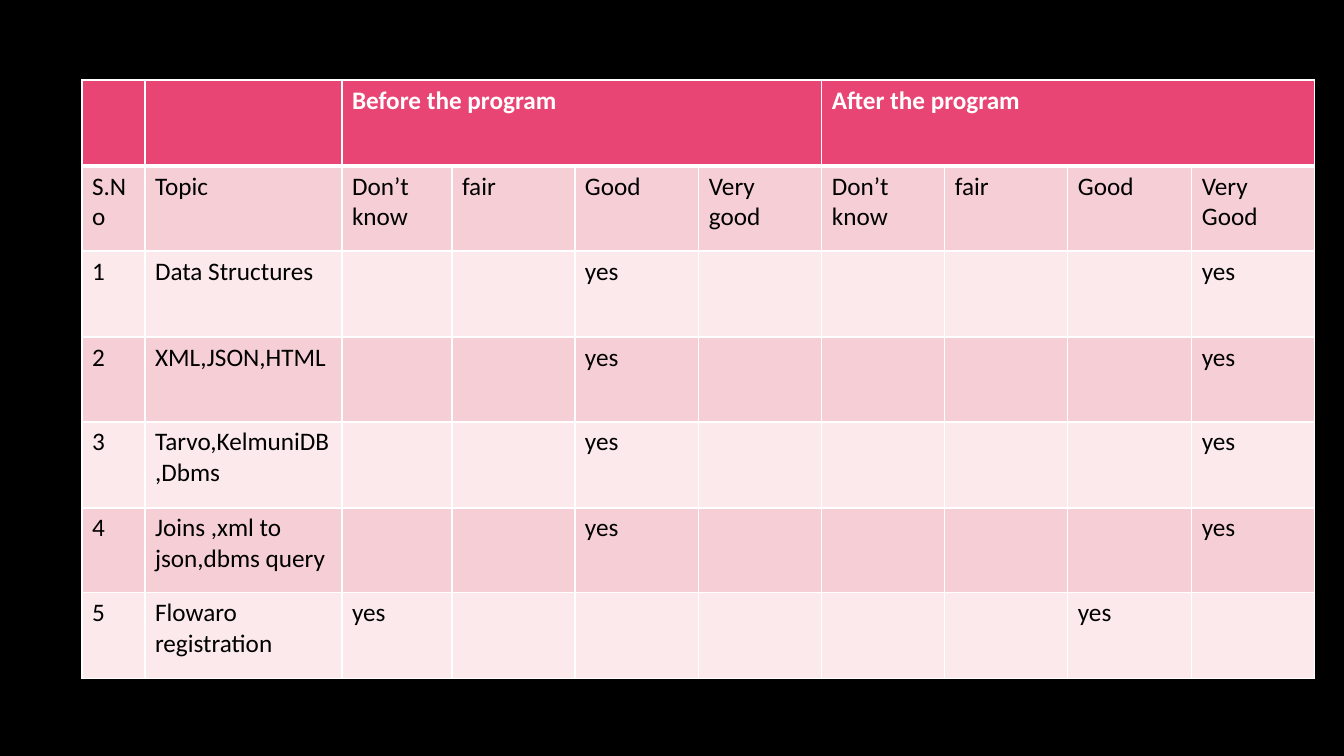
import lxml.etree
import pptx
import pptx.dml.color
import pptx.oxml.ns
import pptx.util

PX = 914400 / 100.8
THEME = {
    "background": "000000", "header": "E84574", "bands": ("FBE9EB", "F6CFD6"),
    "border": "FFFFFF", "header_text": "FFFFFF", "body_text": "000000",
    "font": "Calibri", "size": 18, "thin": 1, "thick": 3,
}
LEFT, TOP = 82, 80
TABLE_W, TABLE_H = 1233, 599
LEAD_COLS = [63, 197, 110]

HEADER = ["", "", "Before the program", "", "", "", "After the program", "", "", ""]
LEVELS = ["S.No", "Topic", "Don’t know", "fair", "Good", "Very good",
          "Don’t know", "fair", "Good", "Very Good"]
# Topic, column rated before, column rated after
TOPICS = [
    ("Data Structures", 4, 9),
    ("XML,JSON,HTML", 4, 9),
    ("Tarvo,KelmuniDB,Dbms", 4, 9),
    ("Joins ,xml to json,dbms query", 4, 9),
    ("Flowaro registration", 2, 8),
]


def px(n):
    return pptx.util.Emu(round(n * PX))


def split(total, n):
    edges = [round(total * i / n) for i in range(n + 1)]
    return [b - a for a, b in zip(edges, edges[1:])]


# Slide
prs = pptx.Presentation()
prs.slide_width, prs.slide_height = px(1344), px(756)
s = prs.slides.add_slide(prs.slide_layouts[6])
s.background.fill.solid()
s.background.fill.fore_color.rgb = pptx.dml.color.RGBColor.from_string(THEME["background"])

# Table contents
rows = [HEADER, LEVELS]
for number, (topic, before, after) in enumerate(TOPICS, 1):
    marks = ["yes" if c in (before, after) else "" for c in range(2, len(LEVELS))]
    rows.append([str(number), topic] + marks)

# Table grid
table = s.shapes.add_table(len(rows), len(LEVELS), px(LEFT), px(TOP),
                           px(TABLE_W), px(TABLE_H)).table
table.first_row = table.horz_banding = False
widths = LEAD_COLS + split(TABLE_W - sum(LEAD_COLS), len(LEVELS) - len(LEAD_COLS))
for column, width in zip(table.columns, widths):
    column.width = px(width)
for row, height in zip(table.rows, split(TABLE_H, len(rows))):
    row.height = px(height)
for first in (2, 6):
    table.cell(0, first).merge(table.cell(0, first + 3))

# Cells
for r_index, texts in enumerate(rows):
    is_header = r_index == 0
    fill = THEME["header"] if is_header else THEME["bands"][r_index % 2]
    color = THEME["header_text"] if is_header else THEME["body_text"]
    borders = {"L": THEME["thin"], "R": THEME["thin"],
               "T": THEME["thick"] if r_index == 1 else THEME["thin"],
               "B": THEME["thick"] if is_header else THEME["thin"]}
    for c_index, text in enumerate(texts):
        cell = table.cell(r_index, c_index)
        # Borders come before the fill in the cell properties
        tc_pr = cell._tc.get_or_add_tcPr()
        for side, width in borders.items():
            ln = lxml.etree.SubElement(tc_pr, pptx.oxml.ns.qn("a:ln" + side),
                                       w=str(pptx.util.Pt(width)))
            solid = lxml.etree.SubElement(ln, pptx.oxml.ns.qn("a:solidFill"))
            lxml.etree.SubElement(solid, pptx.oxml.ns.qn("a:srgbClr"), val=THEME["border"])
        cell.fill.solid()
        cell.fill.fore_color.rgb = pptx.dml.color.RGBColor.from_string(fill)
        if text:
            r = cell.text_frame.paragraphs[0].add_run()
            r.text = text
            font = {"name": THEME["font"], "size": pptx.util.Pt(THEME["size"]),
                    "bold": is_header}
            for name, value in font.items():
                setattr(r.font, name, value)
            r.font.color.rgb = pptx.dml.color.RGBColor.from_string(color)

prs.save("out.pptx")
